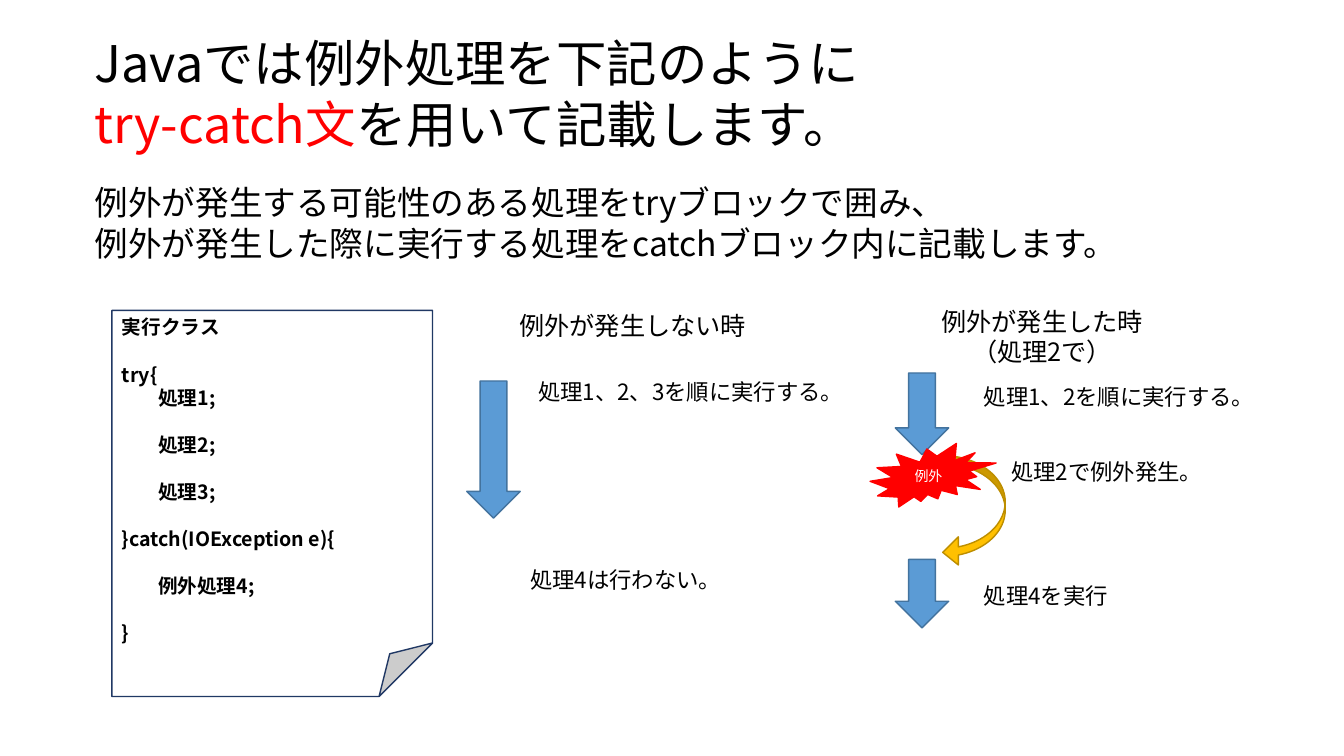
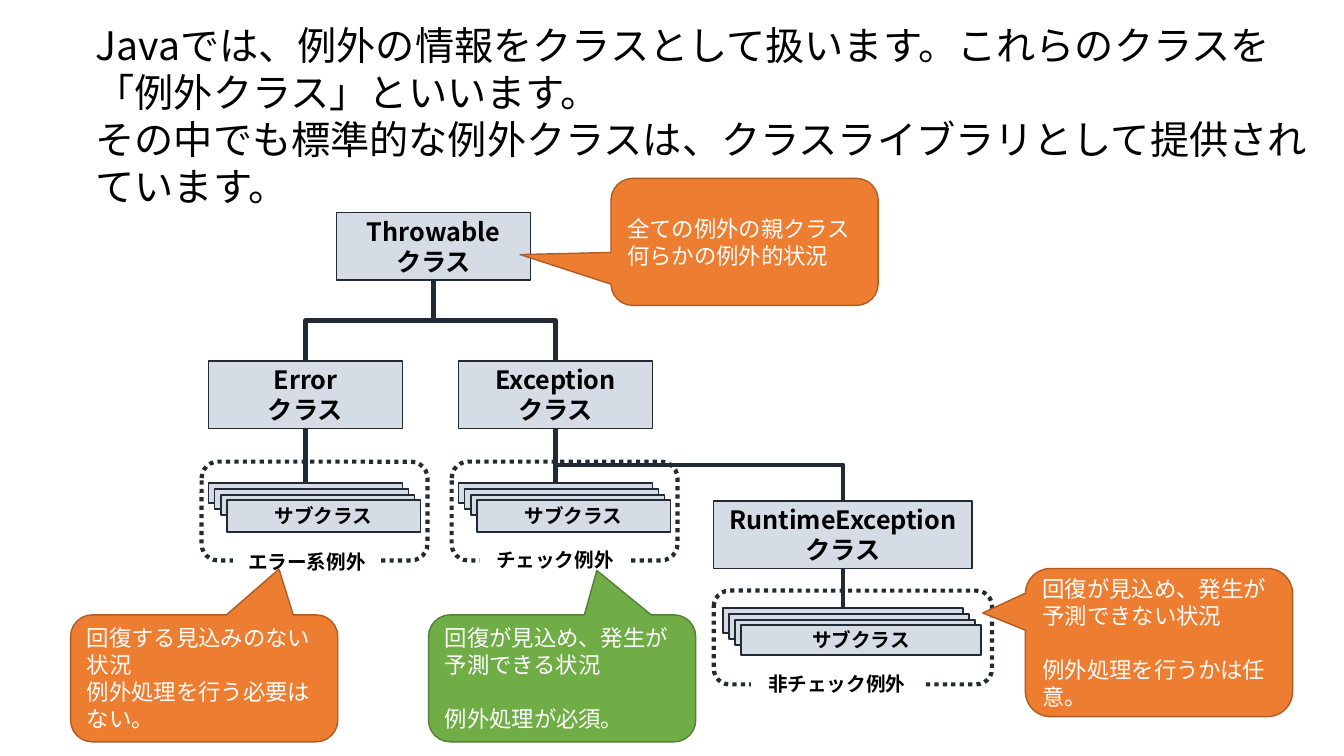
from dataclasses import dataclass

from lxml import etree
from pptx import Presentation
from pptx.dml.color import RGBColor
from pptx.enum.dml import MSO_LINE
from pptx.enum.shapes import MSO_CONNECTOR, MSO_SHAPE
from pptx.enum.text import MSO_ANCHOR, PP_ALIGN
from pptx.oxml.ns import qn
from pptx.util import Inches, Pt

LEFT, CENTER = PP_ALIGN.LEFT, PP_ALIGN.CENTER
TOP, MIDDLE = MSO_ANCHOR.TOP, MSO_ANCHOR.MIDDLE
RECT, ROUND_RECT = MSO_SHAPE.RECTANGLE, MSO_SHAPE.ROUNDED_RECTANGLE
CALLOUT = MSO_SHAPE.ROUNDED_RECTANGULAR_CALLOUT
STRAIGHT, ELBOW = MSO_CONNECTOR.STRAIGHT, MSO_CONNECTOR.ELBOW
SIDE_TOP, SIDE_BOTTOM = 0, 2


@dataclass(frozen=True)
class Theme:
    font: str = "Noto Sans CJK JP"
    black: str = "000000"
    white: str = "FFFFFF"
    red: str = "FF0000"
    navy: str = "203864"
    blue: str = "5B9BD5"
    blue_edge: str = "43739E"
    gold: str = "FFC000"
    gold_edge: str = "BD8E00"
    box: str = "D6DCE5"
    ink: str = "222A35"
    orange: str = "ED7D31"
    orange_edge: str = "AF5C24"
    green: str = "70AD47"
    green_edge: str = "538035"
    title: int = 36
    statement: int = 28
    lead: int = 24
    heading: int = 18
    body: int = 16
    code: int = 14
    burst: int = 10
    line_pitch: float = 1.2
    code_indent: float = 0.36


THEME = Theme()


@dataclass(frozen=True)
class Span:
    text: str
    color: str = ""


@dataclass(frozen=True)
class Para:
    spans: tuple[Span, ...]
    gap: int = 0  # height of the space above, in lines
    indent: float = 0
    align: PP_ALIGN | None = None


@dataclass(frozen=True)
class TextStyle:
    size: int
    color: str = THEME.black
    bold: bool = False
    align: PP_ALIGN = LEFT
    anchor: MSO_ANCHOR = TOP


@dataclass(frozen=True)
class Area:
    left: float
    top: float
    width: float
    height: float

    def lengths(self) -> tuple:
        return tuple(Inches(v) for v in (self.left, self.top, self.width, self.height))


@dataclass(frozen=True)
class Paint:
    fill: str = ""
    line: str = ""
    weight: float = 1
    dotted: bool = False


@dataclass(frozen=True)
class Family:
    name: str
    head: Area
    stack: Area
    front_height: float
    frame: Area
    caption: str
    caption_area: Area


@dataclass(frozen=True)
class Remark:
    area: Area
    tip: tuple[float, float]
    paint: Paint
    paras: tuple[Para, ...]


def line(text: str, gap: int = 0, indent: float = 0, align: PP_ALIGN | None = None) -> Para:
    return Para((Span(text),), gap, indent, align)


HEADING = TextStyle(THEME.heading, align=CENTER)
BODY = TextStyle(THEME.body)
CODE = TextStyle(THEME.code, bold=True)
CLASS_NAME = TextStyle(THEME.heading, bold=True, align=CENTER, anchor=MIDDLE)
SUBCLASS = TextStyle(THEME.code, bold=True, align=CENTER, anchor=MIDDLE)
CAPTION = TextStyle(THEME.code, bold=True, align=CENTER)
REMARK = TextStyle(THEME.body, THEME.white, anchor=MIDDLE)
BURST = TextStyle(THEME.burst, THEME.white, align=CENTER, anchor=MIDDLE)

BLUE = Paint(THEME.blue, THEME.blue_edge)
BOX = Paint(THEME.box, THEME.ink)
DOTTED = Paint(line=THEME.ink, weight=3, dotted=True)
PLAIN = Paint(THEME.white, THEME.white, 0.75)
ORANGE = Paint(THEME.orange, THEME.orange_edge)
GREEN = Paint(THEME.green, THEME.green_edge)


# Shared drawing functions
def write(shape, paras: tuple[Para, ...], style: TextStyle) -> None:
    frame = shape.text_frame
    frame.word_wrap = True
    frame.vertical_anchor = style.anchor
    for index, para in enumerate(paras):
        paragraph = frame.paragraphs[0] if index == 0 else frame.add_paragraph()
        paragraph.alignment = para.align or style.align
        if para.gap:
            paragraph.space_before = Pt(para.gap * style.size * THEME.line_pitch)
        font = paragraph.font
        font.name, font.size, font.bold = THEME.font, Pt(style.size), style.bold
        font.color.rgb = RGBColor.from_string(style.color)
        # East Asian typeface and left margin
        properties = paragraph._p.get_or_add_pPr()
        defaults = properties.find(qn("a:defRPr"))
        etree.SubElement(defaults, qn("a:ea")).set("typeface", THEME.font)
        if para.indent:
            properties.set("marL", str(Inches(para.indent)))
        for span in para.spans:
            run = paragraph.add_run()
            run.text = span.text
            if span.color:
                run.font.color.rgb = RGBColor.from_string(span.color)


def add_text(page, area: Area, paras: tuple[Para, ...], style: TextStyle):
    box = page.shapes.add_textbox(*area.lengths())
    write(box, paras, style)
    return box


def add_shape(page, kind: MSO_SHAPE, area: Area, paint: Paint, adjust: tuple[float, ...] = ()):
    shape = page.shapes.add_shape(kind, *area.lengths())
    shape.shadow.inherit = False
    if paint.fill:
        shape.fill.solid()
        shape.fill.fore_color.rgb = RGBColor.from_string(paint.fill)
    else:
        shape.fill.background()
    shape.line.color.rgb = RGBColor.from_string(paint.line)
    shape.line.width = Pt(paint.weight)
    if paint.dotted:
        shape.line.dash_style = MSO_LINE.ROUND_DOT
    for index, value in enumerate(adjust):
        shape.adjustments[index] = value
    return shape


def join(page, parent, child, kind: MSO_CONNECTOR = STRAIGHT) -> None:
    """Link the bottom of parent to the top of child."""
    start_x, start_y = parent.left + parent.width // 2, parent.top + parent.height
    end_x, end_y = child.left + child.width // 2, child.top
    link = page.shapes.add_connector(kind, start_x, start_y, end_x, end_y)
    link.begin_connect(parent, SIDE_BOTTOM)
    link.end_connect(child, SIDE_TOP)
    link.line.color.rgb = RGBColor.from_string(THEME.ink)
    link.line.width = Pt(3)
    properties = link.element.spPr
    etree.SubElement(properties, qn("a:effectLst"))
    if kind == ELBOW:
        # A quarter turn makes the elbow leave downwards
        drop, reach = end_y - start_y, abs(end_x - start_x)
        link.left = (start_x + end_x - drop) // 2
        link.top = (start_y + end_y - reach) // 2
        link.width, link.height = drop, reach
        rightwards = end_x > start_x
        frame = properties.find(qn("a:xfrm"))
        frame.set("rot", str((270 if rightwards else 90) * 60000))
        frame.set("flipH", "1" if rightwards else "0")


def build_try_catch(page) -> None:
    # Title and lead
    add_text(page, Area(0.84, 0.27, 11.27, 1.31), (
        line("Javaでは例外処理を下記のように"),
        Para((Span("try-catch文", THEME.red), Span("を用いて記載します。"))),
    ), TextStyle(THEME.title))
    add_text(page, Area(0.84, 1.76, 10.47, 0.91), (
        line("例外が発生する可能性のある処理をtryブロックで囲み、"),
        line("例外が発生した際に実行する処理をcatchブロック内に記載します。"),
    ), TextStyle(THEME.lead))

    # Code sheet
    sheet = add_shape(page, MSO_SHAPE.FOLDED_CORNER, Area(1.11, 3.08, 3.18, 3.83),
                      Paint(THEME.white, THEME.navy))
    step = THEME.code_indent
    write(sheet, (
        line("実行クラス"), line("try{", 1), line("処理1;", 0, step),
        line("処理2;", 1, step), line("処理3;", 1, step),
        line("}catch(IOException e){", 1), line("例外処理4;", 1, step), line("}", 1),
    ), CODE)

    # Flow arrows
    for left, top, height in ((4.63, 3.78, 1.36), (8.88, 3.7, 0.81), (8.88, 5.55, 0.68)):
        add_shape(page, MSO_SHAPE.DOWN_ARROW, Area(left, top, 0.53, height), BLUE)
    add_shape(page, MSO_SHAPE.CURVED_LEFT_ARROW, Area(9.35, 4.52, 0.62, 1.1),
              Paint(THEME.gold, THEME.gold_edge), (0.13, 0.45, 0.25))
    burst = add_shape(page, MSO_SHAPE.EXPLOSION2, Area(8.63, 4.4, 1.25, 0.63),
                      Paint(THEME.red, THEME.red))
    write(burst, (line("例外"),), BURST)

    # Flow descriptions
    add_text(page, Area(5.16, 3.7, 3.16, 2.26), (
        line("処理1、2、3を順に実行する。", align=CENTER),
        line("処理4は行わない。", 6),
    ), BODY)
    for area, text, style in (
        (Area(4.97, 3.03, 2.61, 0.4), "例外が発生しない時", HEADING),
        (Area(9.03, 2.99, 2.61, 0.71), "例外が発生した時（処理2で）", HEADING),
        (Area(9.66, 3.75, 3.53, 0.64), "処理1、2を順に実行する。", BODY),
        (Area(9.93, 4.5, 2.52, 0.64), "処理2で例外発生。", BODY),
        (Area(9.66, 5.73, 3.53, 0.37), "処理4を実行", BODY),
    ):
        add_text(page, area, (line(text),), style)


FAMILIES = (
    Family("Error", Area(2.07, 3.58, 1.92, 0.67), Area(2.07, 4.79, 1.92, 0.2), 0.32,
           Area(2, 4.58, 2.24, 0.98), "エラー系例外", Area(2.32, 5.41, 1.45, 0.34)),
    Family("Exception", Area(4.55, 3.58, 1.92, 0.67), Area(4.55, 4.79, 1.92, 0.2), 0.32,
           Area(4.48, 4.58, 2.24, 0.98), "チェック例外", Area(4.77, 5.39, 1.47, 0.34)),
    Family("RuntimeException", Area(7.08, 4.97, 2.56, 0.67), Area(7.17, 6.03, 2.38, 0.25), 0.3,
           Area(7.08, 5.86, 2.76, 0.93), "非チェック例外", Area(7.45, 6.62, 1.7, 0.34)),
)

REMARKS = (
    Remark(Area(6.06, 1.77, 2.65, 1.26), (-0.84, 0.1), ORANGE,
           (line("全ての例外の親クラス"), line("何らかの例外的状況"))),
    Remark(Area(0.7, 6.1, 2.65, 1.26), (0.28, -0.86), ORANGE,
           (line("回復する見込みのない状況"), line("例外処理を行う必要はない。"))),
    Remark(Area(10.17, 5.64, 2.65, 1.47), (-0.66, -0.2), ORANGE,
           (line("回復が見込め、発生が予測できない状況"), line("例外処理を行うかは任意。", 1))),
    Remark(Area(4.25, 6.1, 2.65, 1.26), (0.13, -0.85), GREEN,
           (line("回復が見込め、発生が予測できる状況"), line("例外処理が必須。", 1))),
)


def add_class(page, name: str, area: Area):
    box = add_shape(page, RECT, area, BOX)
    write(box, (line(name), line("クラス")), CLASS_NAME)
    return box


def add_family(page, family: Family):
    head = add_class(page, family.name, family.head)
    # Overlapping subclass cards, the last one labelled
    stack = family.stack
    cards = []
    for index in range(4):
        shift = round(index * 0.058, 2)
        height = family.front_height if index == 3 else stack.height
        area = Area(stack.left + 0.06 * index, stack.top + shift, stack.width, height)
        cards.append(add_shape(page, RECT, area, BOX))
    write(cards[-1], (line("サブクラス"),), SUBCLASS)
    join(page, head, cards[0])
    # Dotted frame and its caption
    add_shape(page, ROUND_RECT, family.frame, DOTTED)
    caption = add_shape(page, RECT, family.caption_area, PLAIN)
    write(caption, (line(family.caption),), CAPTION)
    return head


def build_class_tree(page) -> None:
    add_text(page, Area(0.85, 0.16, 12.34, 1.99), (
        line("Javaでは、例外の情報をクラスとして扱います。これらのクラスを「例外クラス」といいます。"),
        line("その中でも標準的な例外クラスは、クラスライブラリとして提供されています。"),
    ), TextStyle(THEME.statement))

    # Class hierarchy
    root = add_class(page, "Throwable", Area(3.34, 2.11, 1.92, 0.67))
    error, exception, runtime = [add_family(page, family) for family in FAMILIES]
    for parent, child in ((root, error), (root, exception), (exception, runtime)):
        join(page, parent, child, ELBOW)

    # Remarks
    for remark in REMARKS:
        bubble = add_shape(page, CALLOUT, remark.area, remark.paint, (*remark.tip, 0.17))
        write(bubble, remark.paras, REMARK)


def main() -> None:
    deck = Presentation()
    deck.slide_width, deck.slide_height = Inches(13.33), Inches(7.5)
    blank = deck.slide_layouts[6]
    for build in (build_try_catch, build_class_tree):
        build(deck.slides.add_slide(blank))
    deck.save("out.pptx")


if __name__ == "__main__":
    main()
